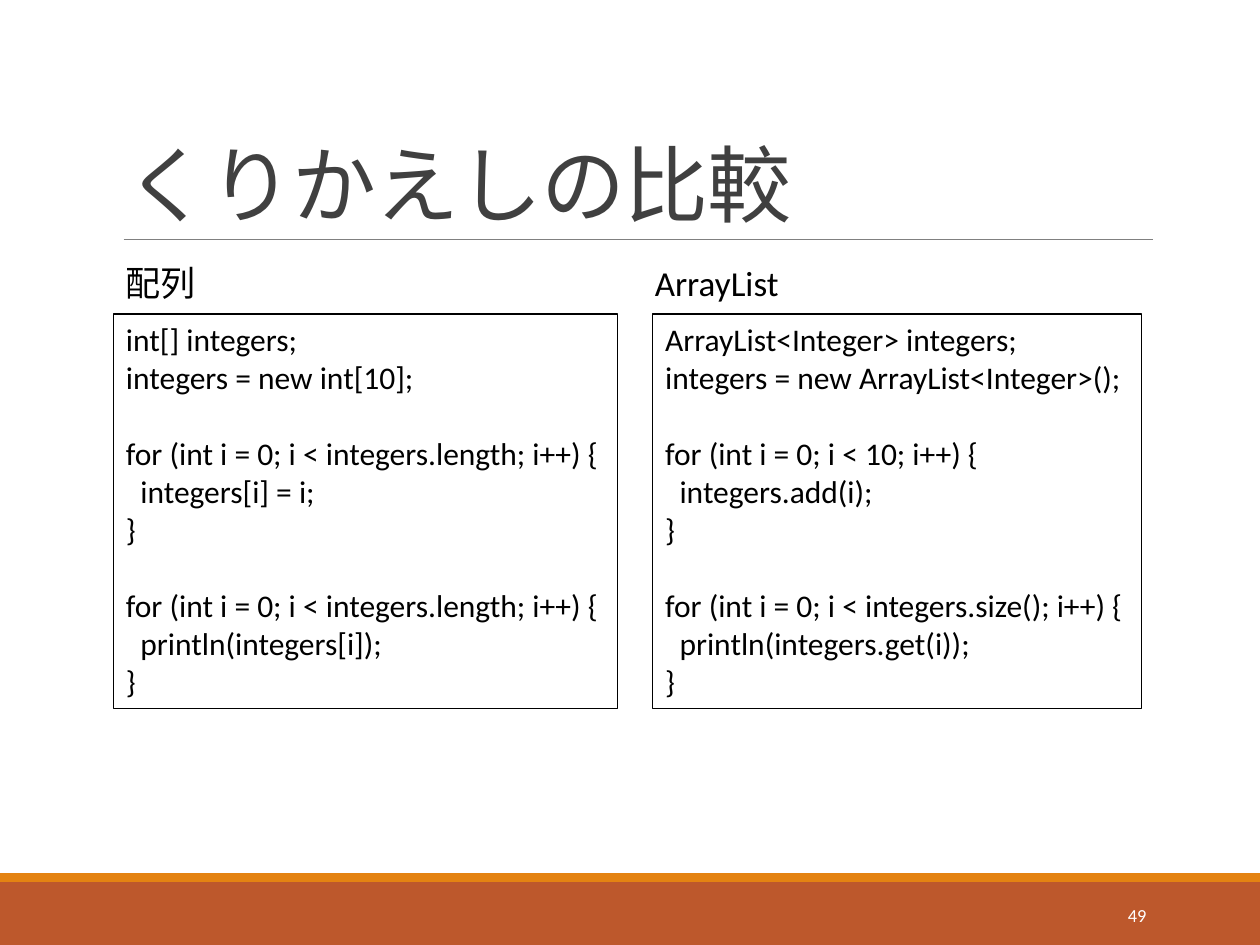
from pptx import Presentation
from pptx import util as u
from pptx.dml.color import RGBColor
from pptx.enum import shapes, text
from pptx.oxml.ns import qn
from lxml import etree

COLORS = {
    "band": "BD582C",
    "stripe": "E48312",
    "rule": "808080",
    "title": "404040",
    "black": "000000",
    "white": "FFFFFF",
}
LINE_HEIGHT = 22


def color(name):
    return RGBColor.from_string(COLORS[name])


def add_text(box, lines, size, color_name, anchor, wrap=True):
    shape = slide.shapes.add_textbox(*[u.Cm(length) for length in box])
    frame = shape.text_frame
    frame.word_wrap = wrap
    frame.vertical_anchor = anchor
    for index, line in enumerate(lines):
        paragraph = frame.paragraphs[0] if index == 0 else frame.add_paragraph()
        paragraph.text = line
        paragraph.font.name = "Calibri"
        paragraph.font.size = u.Pt(size)
        paragraph.font.color.rgb = color(color_name)
    return shape


presentation = Presentation()
presentation.slide_width = u.Cm(25.4)
presentation.slide_height = u.Cm(19.05)
slide = presentation.slides.add_slide(presentation.slide_layouts[6])

for name, top, height in [("band", 17.78, 1.27), ("stripe", 17.6, 0.18)]:
    bar = slide.shapes.add_shape(
        shapes.MSO_SHAPE.RECTANGLE, 0, u.Cm(top), u.Cm(25.4), u.Cm(height))
    bar.shadow.inherit = False
    bar.fill.solid()
    bar.fill.fore_color.rgb = color(name)
    bar.line.fill.background()

rule = slide.shapes.add_connector(
    shapes.MSO_CONNECTOR.STRAIGHT, u.Cm(2.49), u.Cm(4.83), u.Cm(23.24), u.Cm(4.83))
rule.line.color.rgb = color("rule")
rule.line.width = u.Pt(0.5)
etree.SubElement(rule._element.spPr, qn("a:effectLst"))

title = add_text((2.29, 0.79, 20.96, 4.04), ["くりかえしの比較"], 48, "title",
                 text.MSO_ANCHOR.BOTTOM)
paragraph = title.text_frame.paragraphs[0]
paragraph.line_spacing = 0.85
paragraph.runs[0].font._element.set("spc", "-50")

for heading, left in [("配列", 2.29), ("ArrayList", 12.95)]:
    label = add_text((left, 5.13, 10.29, 1.22), [heading], 20, "black",
                     text.MSO_ANCHOR.MIDDLE)
    paragraph = label.text_frame.paragraphs[0]
    paragraph.line_spacing = 0.9
    paragraph.space_before = u.Pt(12)
    paragraph.space_after = u.Pt(2)

number = add_text((20.62, 17.93, 2.74, 1.02), ["49"], 10.5, "white",
                  text.MSO_ANCHOR.MIDDLE)
number.text_frame.paragraphs[0].alignment = text.PP_ALIGN.RIGHT

listings = [
    (2.29, 10.16, "int[] integers;", "integers = new int[10];",
     "integers.length", "integers[i] = i;", "integers.length", "println(integers[i]);"),
    (13.16, 9.86, "ArrayList<Integer> integers;", "integers = new ArrayList<Integer>();",
     "10", "integers.add(i);", "integers.size()", "println(integers.get(i));"),
]
for left, width, declaration, creation, fill_end, fill_body, print_end, print_body in listings:
    lines = [declaration, creation]
    for end, body in [(fill_end, fill_body), (print_end, print_body)]:
        lines += [f"for (int i = 0; i < {end}; i++) {{", body, "}"]
    listing = add_text((left, 6.33, width, 7.95), lines, 18, "black",
                       text.MSO_ANCHOR.TOP, wrap=False)
    listing.text_frame.auto_size = text.MSO_AUTO_SIZE.SHAPE_TO_FIT_TEXT
    listing.line.color.rgb = color("black")
    listing.line.width = u.Pt(0.75)
    paragraphs = listing.text_frame.paragraphs
    for loop_start in (2, 5):
        paragraphs[loop_start].space_before = u.Pt(LINE_HEIGHT)
        body_properties = paragraphs[loop_start + 1]._p.get_or_add_pPr()
        body_properties.set("marL", str(u.Cm(0.29)))

presentation.save("out.pptx")
